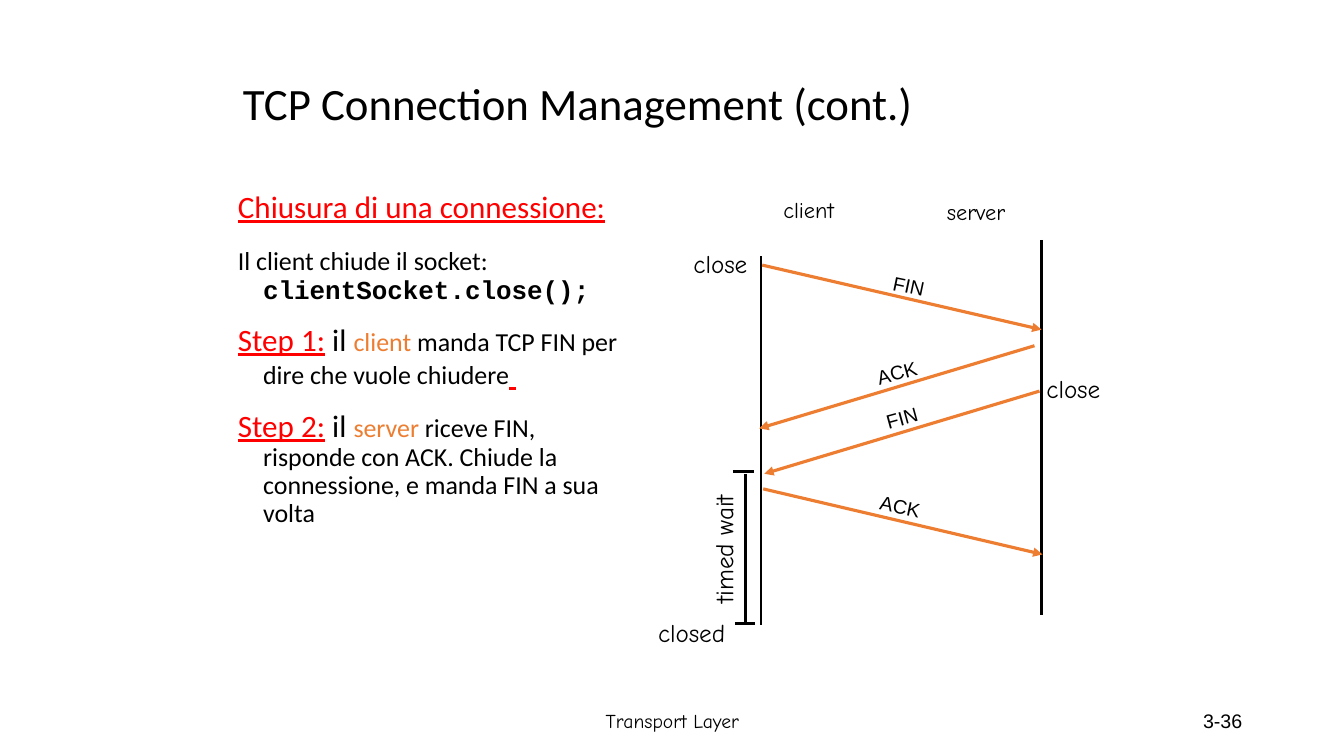
import pptx
import pptx.util
from lxml import etree
from pptx.dml.color import RGBColor
from pptx.enum.shapes import MSO_CONNECTOR
from pptx.enum.text import MSO_ANCHOR, MSO_AUTO_SIZE, PP_ALIGN
from pptx.oxml.ns import qn

PX = 9144  # 100 px to the inch
COLORS = {"black": "000000", "red": "FF0000", "orange": "ED7D31"}
HAND, SANS, BODY, CODE = "Comic Neue", "Arial", "Calibri", "Courier New"
HEADING, RUNNING = 22.2, 18.5


class SlideBuilder:
    def __init__(self, slide):
        self.slide = slide

    def place(self, shape, box):
        shape.left, shape.top, shape.width, shape.height = (n * PX for n in box)

    def style(self, font, size, name, color="black"):
        font.size = pptx.util.Pt(size)
        font.name = name
        font.color.rgb = RGBColor.from_string(COLORS[color])

    def title(self, text, box):
        shape = self.slide.shapes.title
        self.place(shape, box)
        frame = shape.text_frame
        frame.text = text
        frame.auto_size = MSO_AUTO_SIZE.NONE
        frame.vertical_anchor = MSO_ANCHOR.MIDDLE
        paragraph = frame.paragraphs[0]
        paragraph.alignment = PP_ALIGN.LEFT
        paragraph.line_spacing = 0.9
        self.style(paragraph.font, 32, BODY)

    def body(self, paragraphs, box):
        shape = self.slide.placeholders[1]
        self.place(shape, box)
        frame = shape.text_frame
        frame.auto_size = MSO_AUTO_SIZE.NONE
        frame.vertical_anchor = MSO_ANCHOR.TOP
        for index, runs in enumerate(paragraphs):
            paragraph = frame.add_paragraph() if index else frame.paragraphs[0]
            properties = paragraph._p.get_or_add_pPr()
            properties.set("marL", str(25 * PX))
            properties.set("indent", str(-25 * PX))
            etree.SubElement(properties, qn("a:buNone"))
            paragraph.line_spacing = 0.9
            paragraph.space_before = pptx.util.Pt(13.5 if index else 0)
            for text, size, color, name in runs:
                run = paragraph.add_run()
                run.text = text
                self.style(run.font, size, name, color)
                run.font.underline = color == "red"
                run.font.bold = name == CODE

    def label(self, text, box, size, name, angle=0, align=PP_ALIGN.CENTER,
              wrap=False):
        shape = self.slide.shapes.add_textbox(*(n * PX for n in box))
        shape.rotation = angle
        frame = shape.text_frame
        frame.word_wrap = wrap
        frame.vertical_anchor = MSO_ANCHOR.MIDDLE
        frame.text = text
        paragraph = frame.paragraphs[0]
        paragraph.alignment = align
        self.style(paragraph.font, size, name)

    def line(self, start, end, color="black", width=2.25, arrow=False):
        connector = self.slide.shapes.add_connector(
            MSO_CONNECTOR.STRAIGHT, *(n * PX for n in start + end))
        connector.line.color.rgb = RGBColor.from_string(COLORS[color])
        connector.line.width = pptx.util.Pt(width)
        if arrow:
            etree.SubElement(connector.line._get_or_add_ln(), qn("a:tailEnd"),
                             type="triangle")
        etree.SubElement(connector._element.spPr, qn("a:effectLst"))


def main():
    presentation = pptx.Presentation()
    presentation.slide_width = 1333 * PX
    presentation.slide_height = 750 * PX
    slide = presentation.slides.add_slide(presentation.slide_layouts[1])
    builder = SlideBuilder(slide)

    # Title and explanation
    builder.title("TCP Connection Management (cont.)", (231, 56, 850, 98))
    builder.body([
        [("Chiusura di una connessione:", HEADING, "red", BODY)],
        [("Il client chiude il socket:", RUNNING, "black", BODY),
         (" ", HEADING, "red", BODY),
         ("clientSocket.close();", RUNNING, "black", CODE)],
        [("Step 1:", HEADING, "red", BODY),
         (" il ", HEADING, "black", BODY),
         ("client", RUNNING, "orange", BODY),
         (" manda TCP FIN per dire che vuole chiudere", RUNNING, "black", BODY),
         (" ", HEADING, "red", BODY)],
        [("Step 2:", HEADING, "red", BODY),
         (" il ", HEADING, "black", BODY),
         ("server", RUNNING, "orange", BODY),
         (" riceve FIN, risponde con ACK. Chiude la connessione, "
          "e manda FIN a sua volta", RUNNING, "black", BODY)],
    ], (226, 185, 411, 378))

    # Client and server timelines
    builder.line((755, 254), (755, 620), width=1.5)
    builder.line((1033, 238), (1033, 610), width=1.5)
    builder.label("client", (763, 189, 78, 37), 16, HAND)
    builder.label("server", (924, 191, 88, 37), 16, HAND)

    # Messages
    for text, start, end, box, angle in [
        ("FIN", (756, 263), (1033, 327), (866, 267, 71, 33), 11.8),
        ("ACK", (1026, 343), (753, 425), (740, 353, 299, 33), -15.4),
        ("FIN", (1031, 388), (758, 470), (745, 398, 299, 33), -15.4),
        ("ACK", (757, 485), (1034, 550), (858, 486, 70, 33), 11.8),
    ]:
        builder.line(start, end, "orange", arrow=True)
        builder.label(text, box, 14, SANS, angle)

    # Timed wait bracket
    builder.line((739, 470), (739, 617))
    builder.line((727, 468), (748, 468))
    builder.line((729, 619), (749, 619))
    builder.label("timed wait", (646, 525, 143, 40), 18, HAND, 270)

    # Connection states
    for text, box in [("close", (675, 241, 79, 40)),
                      ("close", (1025, 365, 79, 40)),
                      ("closed", (639, 607, 94, 40))]:
        builder.label(text, box, 18, HAND)

    # Footer
    builder.label("Transport Layer", (442, 695, 450, 40), 14, HAND, wrap=True)
    builder.label("3-36", (942, 695, 300, 40), 14, SANS,
                  align=PP_ALIGN.RIGHT, wrap=True)

    presentation.save("out.pptx")


if __name__ == "__main__":
    main()
